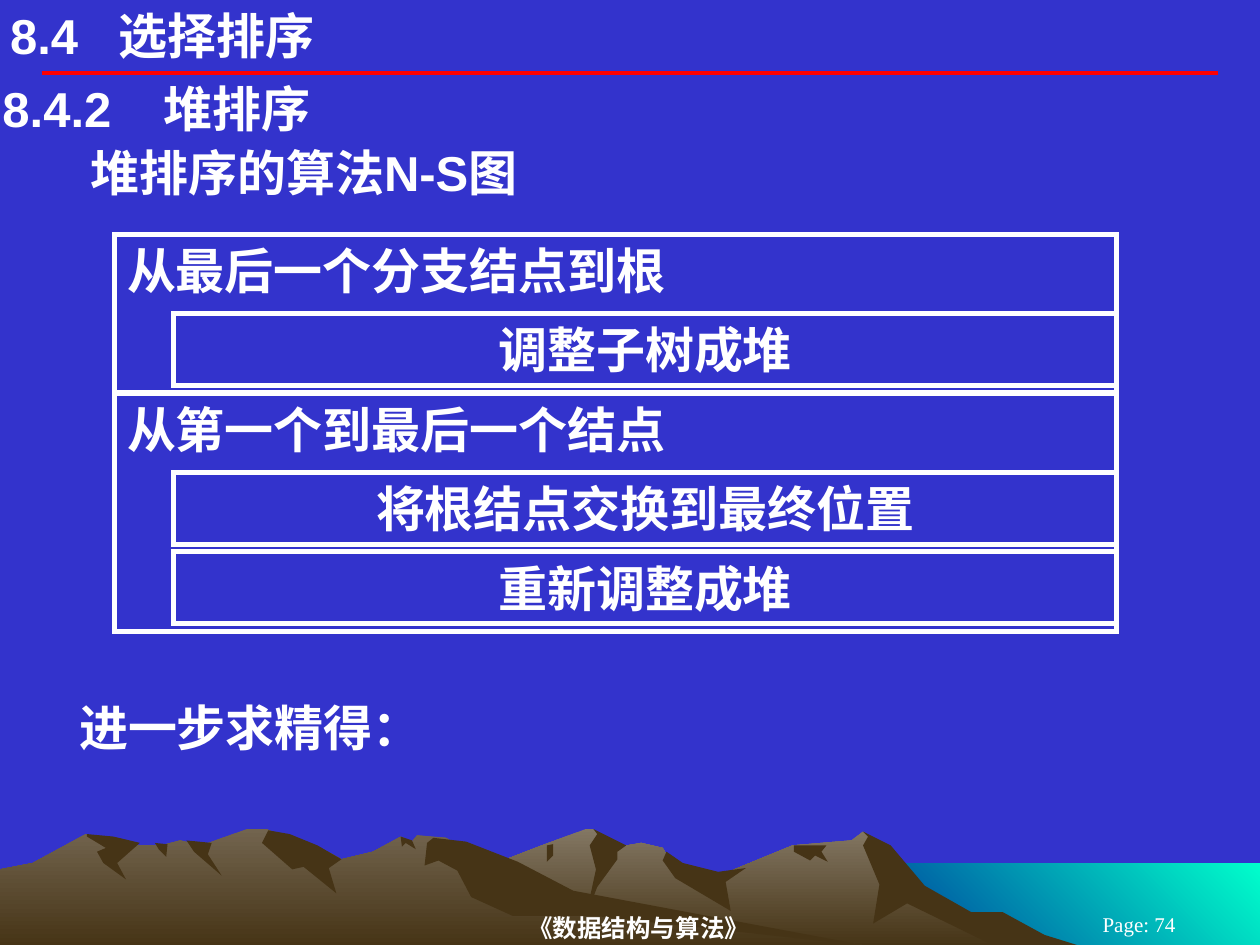
from lxml.etree import SubElement
from pptx import Presentation
from pptx.dml.color import RGBColor
from pptx.enum.shapes import MSO_CONNECTOR, MSO_SHAPE
from pptx.enum.text import MSO_ANCHOR, MSO_AUTO_SIZE, PP_ALIGN
from pptx.oxml.ns import qn
from pptx.util import Inches, Pt

WHITE, RED, BLUE = "FFFFFF", "FF0000", "3333CC"
ROCK, FAR_TOP, NEAR_TOP = "463416", "837763", "72644E"
AQUA, NAVY = "00FFCC", "003399"
DOWN, DIAGONAL = 270, 225
FLOOR = 7.51

FAR_RIDGE = [
    (2.58, FLOOR), (3.27, 7.09), (3.94, 6.85), (4.3, 6.71), (4.65, 6.58), (4.71, 6.58),
    (4.86, 6.73), (5.09, 6.69), (5.26, 6.73), (5.36, 6.9), (5.66, 6.97), (6.29, 6.71),
    (6.76, 6.67), (6.85, 6.6), (7.02, 6.71), (7.23, 6.98), (7.64, 7.23), (8.21, FLOOR)]
FAR_FACES = {
    "east slope": [(6.85, 6.6), (7.07, 6.71), (7.34, 7.03), (7.71, 7.24), (7.96, 7.24),
                   (8.29, 7.42), (8.58, 7.51), (7.92, 7.52), (7.2, 7.17), (6.93, 7.33),
                   (6.98, 7.02), (6.85, 6.71), (6.89, 6.64)],
    "middle peak": [(4.71, 6.58), (4.97, 6.71), (4.9, 6.76), (4.9, 6.82), (4.74, 7.04),
                    (4.65, 7.27), (4.73, 6.9), (4.68, 6.71), (4.74, 6.62)],
    "saddle": [(5.29, 6.76), (5.42, 6.85), (5.7, 6.92), (5.92, 6.89), (5.76, 7),
               (5.8, 7.23), (5.36, 6.97), (5.26, 6.83)],
    "east notch": [(6.3, 6.71), (6.56, 6.71), (6.52, 6.76), (6.57, 6.84), (6.47, 6.79),
                   (6.43, 6.83), (6.3, 6.76)],
    "west notch": [(4.34, 6.71), (4.39, 6.7), (4.39, 6.79), (4.34, 6.84)],
}
NEAR_RIDGE = [
    (0, FLOOR), (0, 6.9), (0.26, 6.85), (0.68, 6.62), (0.94, 6.71), (1.28, 6.71),
    (1.43, 6.67), (1.6, 6.71), (1.96, 6.58), (2.12, 6.58), (2.23, 6.63), (2.36, 6.81),
    (2.6, 6.76), (2.71, 6.82), (2.96, 6.76), (3.18, 6.64), (3.27, 6.68), (3.31, 6.63),
    (3.54, 6.65), (4.32, 7.12), (6.9, FLOOR)]
NEAR_FACES = {
    "main peak": [(2.13, 6.59), (2.3, 6.62), (2.52, 6.71), (2.71, 6.82), (2.61, 6.89),
                  (2.67, 7.09), (2.41, 6.88), (2.32, 6.9), (2.08, 6.69)],
    "long slope": [(3.39, 6.69), (3.44, 6.65), (3.7, 6.68), (4.11, 6.84), (4.55, 7.07),
                   (6.9, 7.51), (4.72, 7.27), (4.07, 7.27), (3.74, 7.12), (3.63, 6.91),
                   (3.48, 6.83), (3.37, 6.87)],
    "east notch": [(3.18, 6.64), (3.27, 6.67), (3.3, 6.74), (3.22, 6.69), (3.19, 6.72)],
    "west gully": [(1.48, 6.67), (1.68, 6.69), (1.65, 6.78), (1.76, 6.95), (1.54, 6.76)],
    "west notch": [(1.23, 6.69), (1.33, 6.7), (1.32, 6.8), (1.26, 6.74)],
    "west peak": [(0.69, 6.62), (0.9, 6.64), (1.11, 6.69), (0.93, 6.85), (1, 6.98),
                  (0.82, 6.85), (0.77, 6.76), (0.84, 6.73), (0.69, 6.64)],
}
LOOPS = {
    "从最后一个分支结点到根": ["调整子树成堆"],
    "从第一个到最后一个结点": ["将根结点交换到最终位置", "重新调整成堆"],
}


def tint(code):
    """Turn a hex string into a colour."""
    return RGBColor.from_string(code)


def blob(slide, spots, *codes, angle=DOWN):
    """Draw a closed outline in one colour, or in a gradient of two."""
    first, *rest = [(Inches(x), Inches(y)) for x, y in spots]
    pen = slide.shapes.build_freeform(*first)
    pen.add_line_segments(rest)
    shape = pen.convert_to_shape()
    shape.shadow.inherit = False
    shape.line.fill.background()
    if len(codes) == 1:
        shape.fill.solid()
        shape.fill.fore_color.rgb = tint(codes[0])
        return
    shape.fill.gradient()
    shape.fill.gradient_angle = angle
    for stop, code in zip(shape.fill.gradient_stops, codes):
        stop.color.rgb = tint(code)


def sea(slide, box):
    """Fill a rectangle with water."""
    left, top, width, height = box
    right, low = left + width, top + height
    corners = [(left, top), (right, top), (right, low), (left, low)]
    blob(slide, corners, AQUA, NAVY, angle=DIAGONAL)


def hills(slide, ridge, light, faces):
    """Draw a mountain range and the dark faces on it."""
    blob(slide, ridge, light, ROCK)
    for face in faces.values():
        blob(slide, face, ROCK)


def write(shape, text, align=PP_ALIGN.LEFT, size=28, font="Arial", bold=True,
          inset=(0.1, 0.05), anchor=MSO_ANCHOR.TOP, tab=None):
    """Put one formatted paragraph in a shape."""
    frame = shape.text_frame
    frame.text = text
    frame.word_wrap = True
    frame.auto_size = MSO_AUTO_SIZE.NONE
    frame.vertical_anchor = anchor
    frame.margin_left = frame.margin_right = Inches(inset[0])
    frame.margin_top = frame.margin_bottom = Inches(inset[1])
    para = frame.paragraphs[0]
    para.alignment = align
    if tab:
        stops = SubElement(para._p.get_or_add_pPr(), qn("a:tabLst"))
        SubElement(stops, qn("a:tab"), pos=str(Inches(tab)), algn="l")
    for run in para.runs:
        run.font.size = Pt(size)
        run.font.name = font
        run.font.bold = bold
        run.font.color.rgb = tint(WHITE)


def label(slide, box, text, **style):
    """Add a text box."""
    write(slide.shapes.add_textbox(*map(Inches, box)), text, **style)


def stroke(line, code, width):
    """Set the colour and width of a line."""
    line.color.rgb = tint(code)
    line.width = Pt(width)


def head(slide, box):
    """Place the title and the rule below it."""
    title = slide.shapes.title
    title.left, title.top, title.width, title.height = map(Inches, box)
    write(title, "8.4\t选择排序", inset=(0, 0), tab=0.86)
    left, right, level = Inches(0.33), Inches(9.67), Inches(0.58)
    rule = slide.shapes.add_connector(MSO_CONNECTOR.STRAIGHT, left, level, right, level)
    stroke(rule.line, RED, 2.25)
    SubElement(rule._element.spPr, qn("a:effectLst"))


def cell(slide, box, text, align):
    """Add an outlined box with sharp corners and text."""
    shape = slide.shapes.add_shape(MSO_SHAPE.RECTANGLE, *map(Inches, box))
    shape.shadow.inherit = False
    shape.fill.background()
    stroke(shape.line, WHITE, 3)
    SubElement(shape._element.spPr.find(qn("a:ln")), qn("a:miter"), lim="800000")
    write(shape, text, align)


def chart(slide, box, loops):
    """Stack the loops of the N-S diagram, each with its steps set in."""
    left, top, width, height = box
    row = height / sum(1 + len(steps) for steps in loops.values())
    inset, gap = 0.47, 0.06
    for loop, steps in loops.items():
        cell(slide, (left, top, width, row * (1 + len(steps))), loop, PP_ALIGN.LEFT)
        for place, step in enumerate(steps, 1):
            inner = (left + inset, top + place * row, width - inset, row - gap)
            cell(slide, inner, step, PP_ALIGN.CENTER)
        top += row * (1 + len(steps))


def foot(slide):
    """Add the course name and the page number."""
    style = dict(align=PP_ALIGN.CENTER, font="Times New Roman", anchor=MSO_ANCHOR.MIDDLE)
    label(slide, (2.04, 7.22, 6.06, 0.28), "《数据结构与算法》", size=14,
          inset=(0, 0.01), **style)
    label(slide, (8.25, 7.25, 1.58, 0.17), "Page: 74", size=12, bold=False, **style)


def main():
    """Build and save the slide."""
    deck = Presentation()
    deck.slide_width, deck.slide_height = Inches(10), Inches(7.5)
    slide = deck.slides.add_slide(deck.slide_layouts[5])
    slide.background.fill.solid()
    slide.background.fill.fore_color.rgb = tint(BLUE)
    sea(slide, (6.83, 6.85, 3.17, 0.67))
    hills(slide, FAR_RIDGE, FAR_TOP, FAR_FACES)
    hills(slide, NEAR_RIDGE, NEAR_TOP, NEAR_FACES)
    head(slide, (0.08, 0.04, 6.5, 0.47))
    foot(slide)
    label(slide, (0, 0.61, 10, 0.49), "8.4.2\t堆排序", inset=(0.02, 0.01), tab=1.28)
    label(slide, (0.62, 1.08, 9.34, 0.57), "堆排序的算法N-S图")
    chart(slide, (0.91, 1.86, 7.95, 3.15), LOOPS)
    label(slide, (0.53, 5.49, 9.43, 0.57), "进一步求精得：")
    deck.save("out.pptx")


if __name__ == "__main__":
    main()
